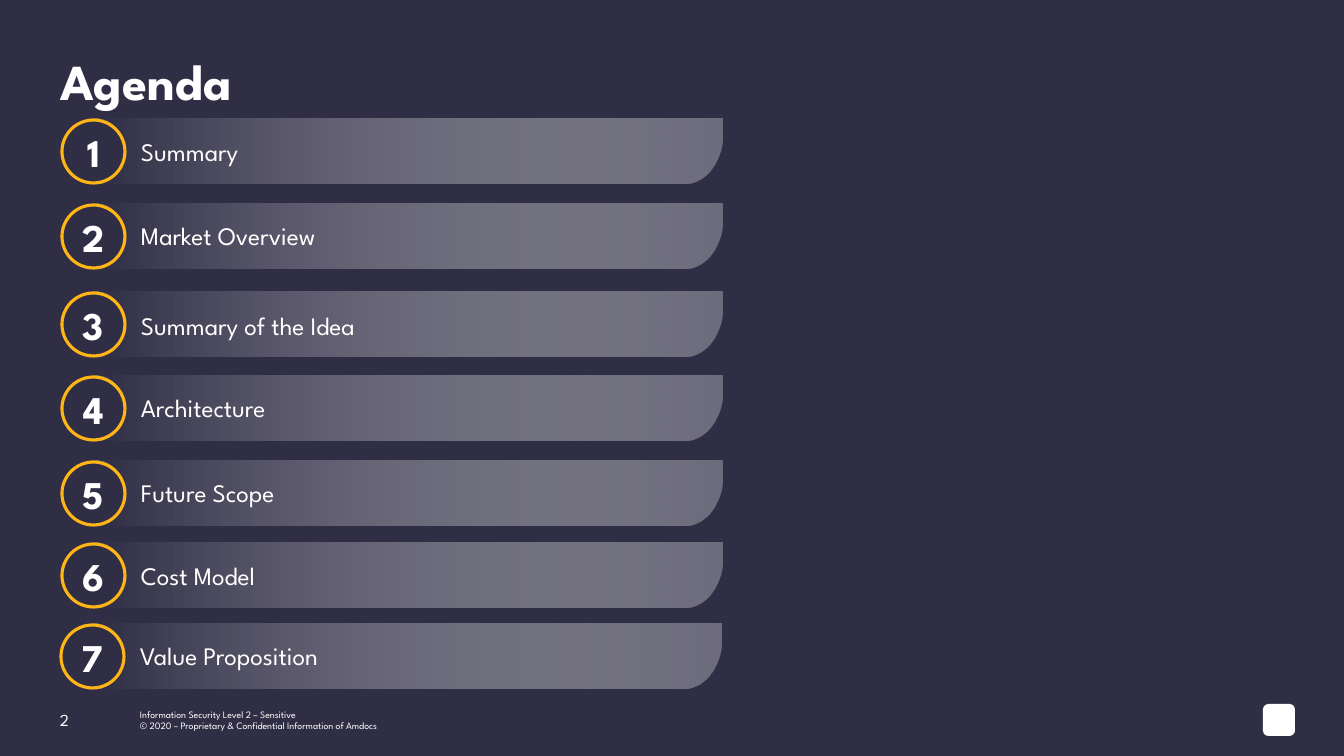
import math
import pptx
import pptx.util
import pptx.dml.color
import pptx.enum.shapes
import pptx.enum.text
import pptx.oxml
import pptx.oxml.ns

WIDTH, HEIGHT = 1344, 756
SCALE = 12192000 / WIDTH
FONT = "League Spartan"
COLOURS = {"night": "302E45", "white": "FFFFFF", "amber": "FFB516"}
OPACITY = (85000, 30000)
ROWS = [
    (62, 119, 9, "Summary"),
    (62, 204, 8, "Market Overview"),
    (62, 292, 10, "Summary of the Idea"),
    (62, 376, 8, "Architecture"),
    (62, 461, 8, "Future Scope"),
    (62, 543, 9, "Cost Model"),
    (61, 624, 8, "Value Proposition"),
]
ROW_WIDTH, ROW_HEIGHT, RING = 660, 65, 63
FOOTER = [
    "Information Security Level 2 – Sensitive",
    "© 2020 – Proprietary & Confidential Information of Amdocs",
]


def px(length):
    return pptx.util.Emu(round(length * SCALE))


def colour(name):
    return pptx.dml.color.RGBColor.from_string(COLOURS[name])


def place(shape, box):
    shape.left, shape.top, shape.width, shape.height = map(px, box)


def write(shape, lines, size, bold=False, centred=False, insets=(10, 5, 10, 5),
          anchor=pptx.enum.text.MSO_ANCHOR.MIDDLE):
    frame = shape.text_frame
    frame.word_wrap = True
    frame.auto_size = pptx.enum.text.MSO_AUTO_SIZE.NONE
    frame.vertical_anchor = anchor
    (frame.margin_left, frame.margin_top,
     frame.margin_right, frame.margin_bottom) = map(px, insets)
    para = frame.paragraphs[0]
    align = pptx.enum.text.PP_ALIGN
    para.alignment = align.CENTER if centred else align.LEFT
    for index, line in enumerate(lines):
        if index:
            para.add_line_break()
        span = para.add_run()
        span.text = line
        span.font.name = FONT
        span.font.size = pptx.util.Pt(size)
        span.font.bold = bold
        span.font.color.rgb = colour("white")


def add_text(page, box, lines, size, **style):
    write(page.shapes.add_textbox(*map(px, box)), lines, size, **style)


def arc(centre_x, centre_y, radius_x, radius_y, start, end, steps=24):
    angles = [math.radians(start + (end - start) * step / steps)
              for step in range(steps + 1)]
    return [(px(centre_x + radius_x * math.cos(angle)),
             px(centre_y + radius_y * math.sin(angle))) for angle in angles]


def add_bar(page, box):
    left, top, width, height = box
    right, bottom = left + width, top + height
    points = arc(right - 39, bottom - 49, 39, 49, 0, 90)
    points += arc(left, top + height / 2, 30, height / 2, 90, -90)
    points.append((px(right), px(top)))
    builder = page.shapes.build_freeform(*points[0], scale=1.0)
    builder.add_line_segments(points[1:], close=True)
    bar = builder.convert_to_shape()
    bar.shadow.inherit = False
    bar.line.fill.background()
    bar.fill.gradient()
    bar.fill.gradient_angle = 0
    for stop, name in zip(bar.fill.gradient_stops, ("night", "white")):
        stop.color.rgb = colour(name)
    tints = bar.element.spPr.findall(".//" + pptx.oxml.ns.qn("a:srgbClr"))
    for tint, opacity in zip(tints, OPACITY):
        tint.append(pptx.oxml.parse_xml(
            f'<a:alpha {pptx.oxml.ns.nsdecls("a")} val="{opacity}"/>'))


def add_ring(page, box, number):
    ring = page.shapes.add_shape(
        pptx.enum.shapes.MSO_SHAPE.OVAL, *map(px, box))
    ring.shadow.inherit = False
    ring.fill.solid()
    ring.fill.fore_color.rgb = colour("night")
    ring.line.color.rgb = colour("amber")
    ring.line.width = pptx.util.Pt(2.25)
    write(ring, [str(number)], 28, bold=True, centred=True)


def add_agenda_row(page, box, number, label, label_drop):
    left, top, width, height = box
    add_bar(page, (left + 33, top, width - 33, height))
    add_ring(page, (left, top + 1, RING, RING), number)
    add_text(page, (left + 69, top + label_drop, 566, 46), [label], 18)


def add_title(page, box):
    title = page.shapes.title
    place(title, box)
    write(title, ["Agenda"], 36, bold=True, insets=(0, 0, 0, 0),
          anchor=pptx.enum.text.MSO_ANCHOR.BOTTOM)


def add_footer(page, box):
    left, top, width, height = box
    add_text(page, (left, top, 70, height), ["2"], 12, insets=(0, 5, 10, 5))
    add_text(page, (left + 70, top, 454, height), FOOTER, 7)
    mark = page.shapes.add_shape(
        pptx.enum.shapes.MSO_SHAPE.ROUNDED_RECTANGLE,
        *map(px, (left + width - 43, top + 4, 32, 32)))
    mark.shadow.inherit = False
    mark.fill.solid()
    mark.fill.fore_color.rgb = colour("white")
    mark.line.fill.background()


def main():
    deck = pptx.Presentation()
    deck.slide_width, deck.slide_height = px(WIDTH), px(HEIGHT)
    page = deck.slides.add_slide(deck.slide_layouts.get_by_name("Title Only"))
    page.background.fill.solid()
    page.background.fill.fore_color.rgb = colour("night")
    add_title(page, (60, 49, 1223, 62))
    for number, (left, top, label_drop, label) in enumerate(ROWS, 1):
        add_agenda_row(page, (left, top, ROW_WIDTH, ROW_HEIGHT),
                       number, label, label_drop)
    add_footer(page, (60, 700, 1246, 40))
    deck.save("out.pptx")


if __name__ == "__main__":
    main()
